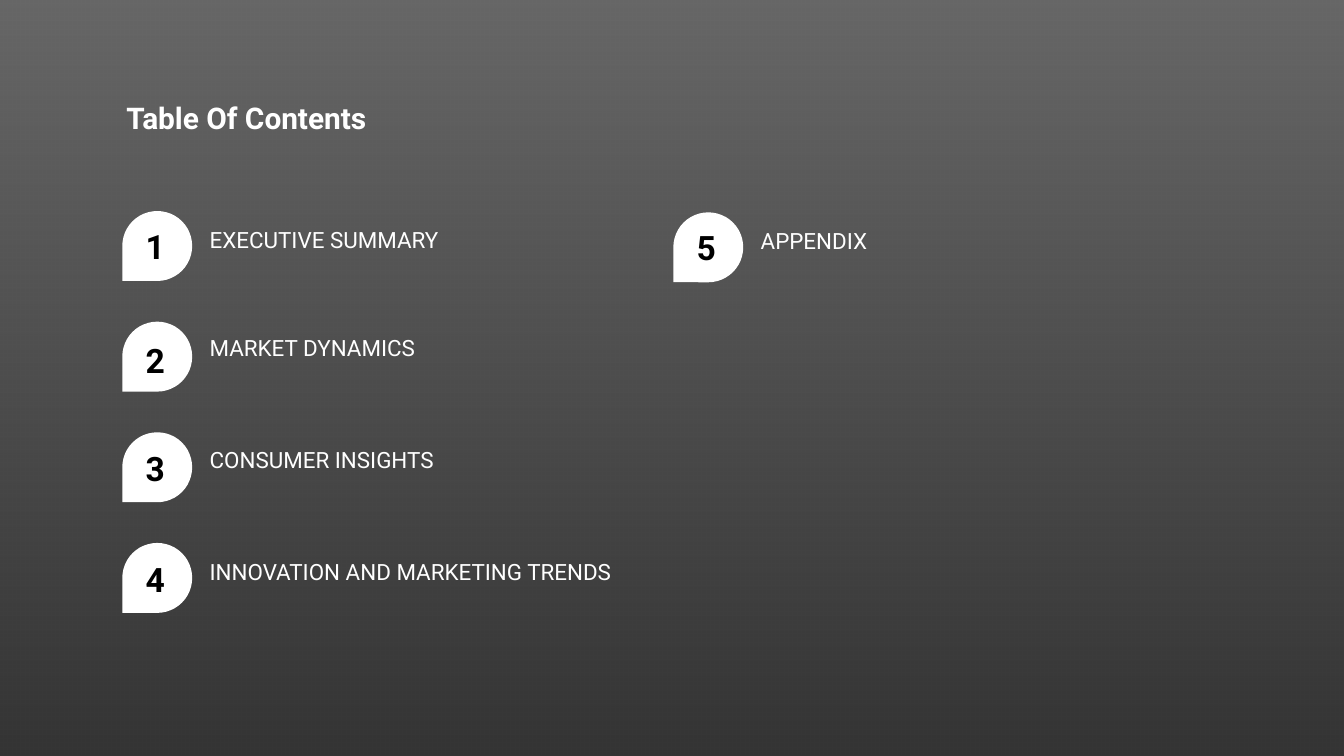
"""Build a table of contents slide with numbered teardrop markers."""
from dataclasses import dataclass

from lxml import etree
from pptx import Presentation
from pptx.dml.color import RGBColor
from pptx.enum import shapes, text
from pptx.oxml import ns
from pptx.util import Inches, Pt


@dataclass(frozen=True)
class Theme:
    font: str = "Roboto"
    light: RGBColor = RGBColor(255, 255, 255)
    dark: RGBColor = RGBColor(0, 0, 0)
    shade_opacity: tuple = (60, 80)
    title_size: int = 16
    label_size: int = 12
    number_size: int = 18


THEME = Theme()
WIDTH = 10
HEIGHT = WIDTH * 9 / 16
COLUMN_LEFTS = (0.91, 5.01)
ROWS_PER_COLUMN = 4
FIRST_ROW_TOP, LAST_ROW_TOP = 1.57, 4.04
ROW_STEP = (LAST_ROW_TOP - FIRST_ROW_TOP) / (ROWS_PER_COLUMN - 1)
MARKER_SIZE = 0.52
SECTIONS = (
    ("EXECUTIVE SUMMARY", 1.64, 1.63),
    ("MARKET DYNAMICS", 2.45, 2.48),
    ("CONSUMER INSIGHTS", 3.28, 3.28),
    ("INNOVATION AND MARKETING TRENDS", 4.11, 4.11),
    ("APPENDIX", 1.65, 1.64),
)


def add_backdrop(slide):
    backdrop = slide.shapes.add_shape(
        shapes.MSO_SHAPE.RECTANGLE, 0, 0, Inches(WIDTH), Inches(HEIGHT))
    backdrop.shadow.inherit = False
    backdrop.line.fill.background()
    backdrop.fill.gradient()
    backdrop.fill.gradient_angle = 270
    for position, stop in enumerate(backdrop.fill.gradient_stops):
        stop.position = position
        stop.color.rgb = THEME.dark
    colours = backdrop.element.spPr.iter(ns.qn("a:srgbClr"))
    for colour, opacity in zip(colours, THEME.shade_opacity):
        etree.SubElement(colour, ns.qn("a:alpha"), val=str(opacity * 1000))


def add_text(slide, words, box, size, color, bold=False, inset=0.0, wrap=True,
             align=text.PP_ALIGN.LEFT, line_spacing=1.0):
    frame = slide.shapes.add_textbox(*map(Inches, box)).text_frame
    frame.word_wrap = wrap
    frame.margin_left = frame.margin_right = Inches(inset)
    frame.margin_top = frame.margin_bottom = Inches(inset)
    paragraph = frame.paragraphs[0]
    paragraph.text = words
    paragraph.alignment = align
    paragraph.line_spacing = line_spacing
    paragraph.font.name = THEME.font
    paragraph.font.size = Pt(size)
    paragraph.font.bold = bold
    paragraph.font.color.rgb = color


def add_marker(slide, left, top):
    marker = slide.shapes.add_shape(
        shapes.MSO_SHAPE.TEAR, Inches(left), Inches(top),
        Inches(MARKER_SIZE), Inches(MARKER_SIZE))
    marker.rotation = 180
    marker.shadow.inherit = False
    marker.fill.solid()
    marker.fill.fore_color.rgb = THEME.light
    marker.line.fill.background()


def add_section(slide, index, title, label_top, number_top):
    column, row = divmod(index, ROWS_PER_COLUMN)
    left = COLUMN_LEFTS[column]
    add_marker(slide, left, FIRST_ROW_TOP + row * ROW_STEP + column * 0.01)
    add_text(slide, title, (left + 0.65, label_top, 3.19, 0.67),
             THEME.label_size, THEME.light, line_spacing=1.2)
    add_text(slide, str(index + 1), (left - 0.03, number_top, 0.55, 0.41),
             THEME.number_size, THEME.dark, bold=True, inset=0.05,
             align=text.PP_ALIGN.CENTER)


def main():
    deck = Presentation()
    deck.slide_width, deck.slide_height = Inches(WIDTH), Inches(HEIGHT)
    slide = deck.slides.add_slide(deck.slide_layouts[6])
    add_backdrop(slide)
    add_text(slide, "Table Of Contents", (0.89, 0.69, 1.97, 0.37),
             THEME.title_size, THEME.light, bold=True, inset=0.05, wrap=False)
    for index, section in enumerate(SECTIONS):
        add_section(slide, index, *section)
    deck.save("out.pptx")


if __name__ == "__main__":
    main()
